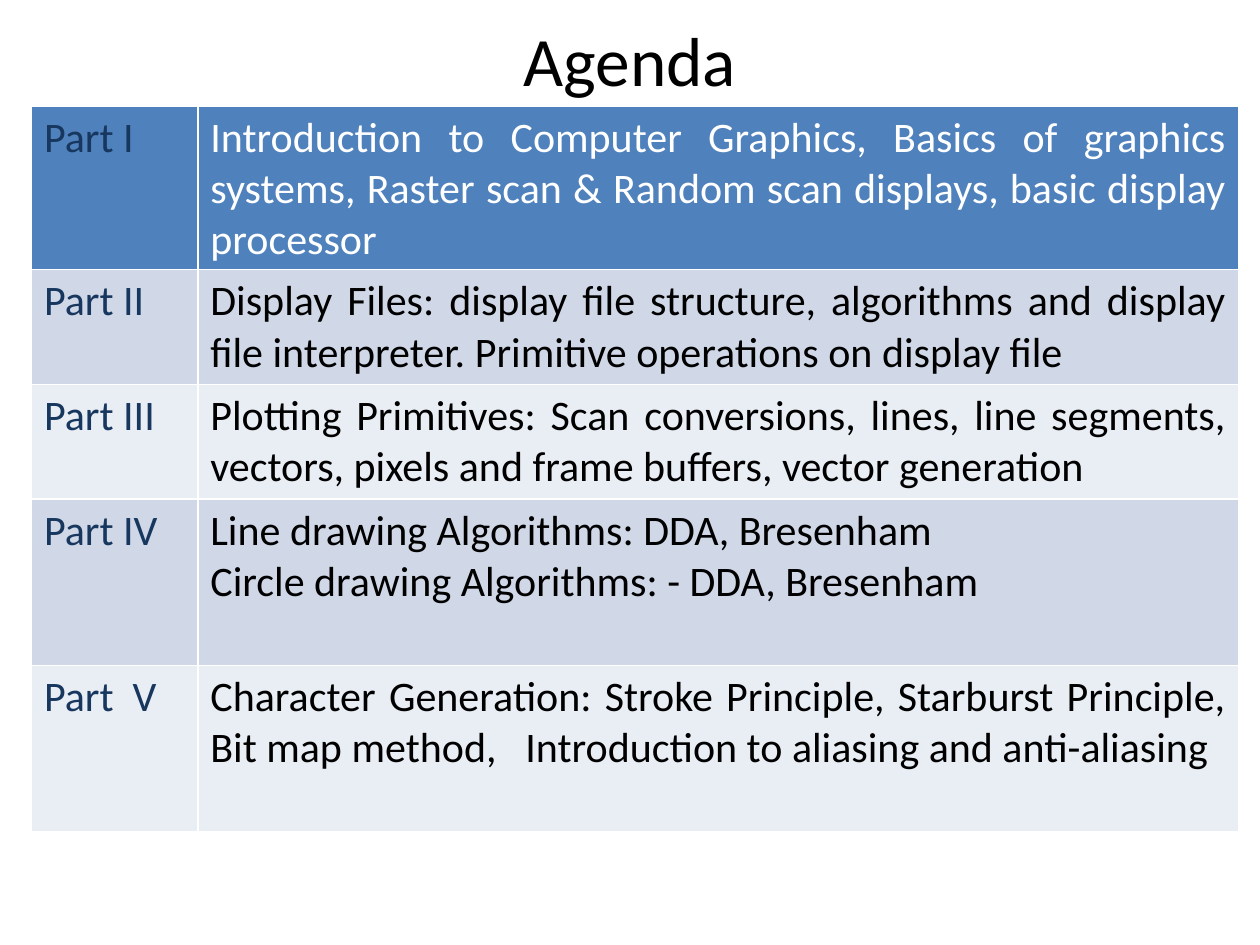
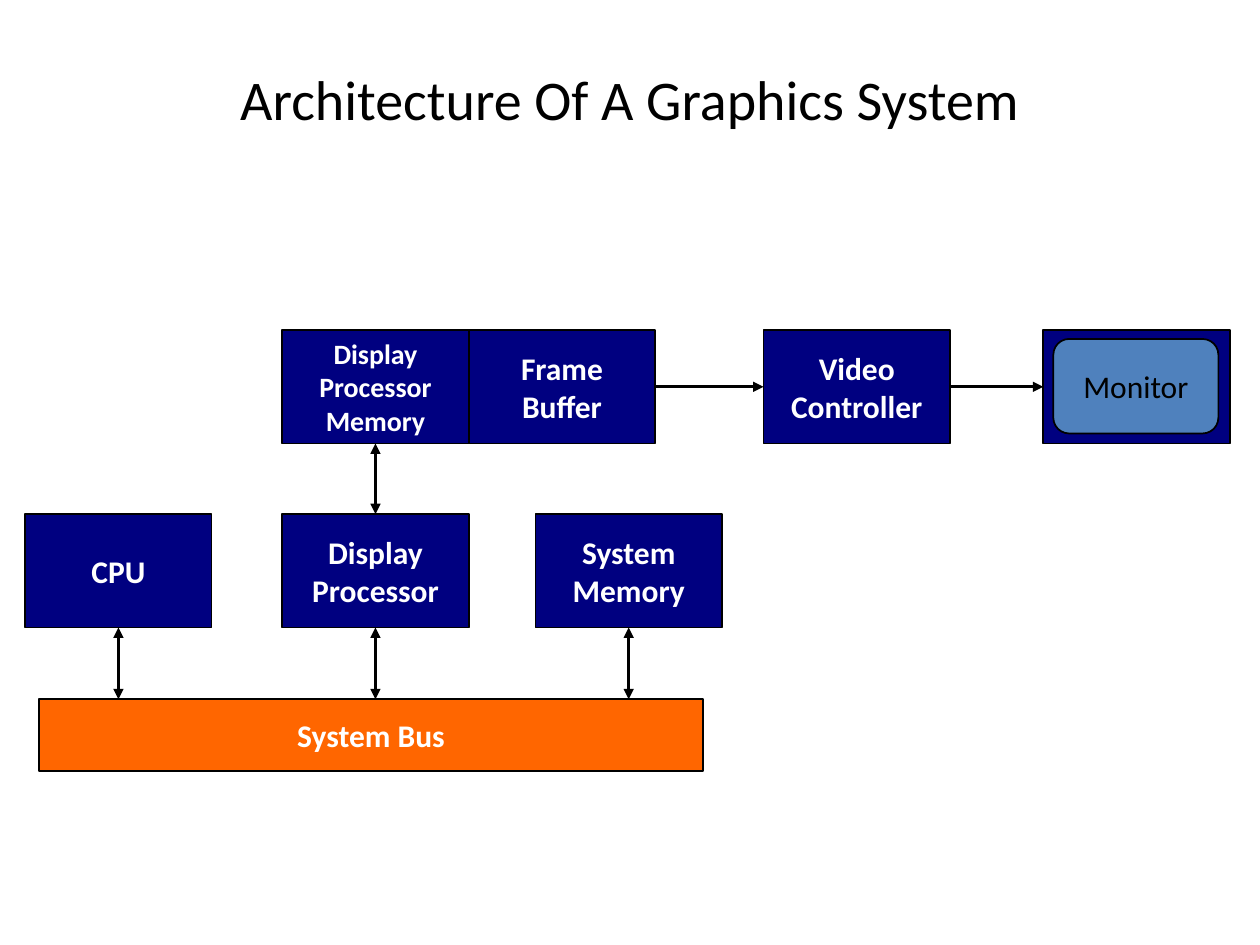
"""Build an agenda slide and a graphics system architecture slide."""
from dataclasses import dataclass
from typing import NamedTuple

from lxml import etree
from pptx import Presentation
from pptx import util as u
from pptx.dml.color import RGBColor
from pptx.enum import shapes, text
from pptx.oxml import ns

COLUMNS, ROWS = 100, 75
CELL = u.Inches(0.1)


@dataclass(frozen=True)
class Theme:
    """Colours, font and point sizes shared by the slides."""

    font: str = "Calibri"
    ink: RGBColor = RGBColor(0x00, 0x00, 0x00)
    paper: RGBColor = RGBColor(0xFF, 0xFF, 0xFF)
    label: RGBColor = RGBColor(0x17, 0x37, 0x5E)
    accent: RGBColor = RGBColor(0x4F, 0x81, 0xBD)
    band_dark: RGBColor = RGBColor(0xD0, 0xD8, 0xE8)
    band_light: RGBColor = RGBColor(0xE9, 0xED, 0xF4)
    navy: RGBColor = RGBColor(0x00, 0x00, 0x80)
    orange: RGBColor = RGBColor(0xFF, 0x66, 0x00)
    agenda_title: float = 39.6
    diagram_title: float = 32
    table_text: float = 24
    box_text: float = 18
    small_box_text: float = 16
    outline: float = 1
    arrow: float = 1.5


THEME = Theme()


class Area(NamedTuple):
    """A rectangle in grid columns and rows."""

    column: float
    row: float
    width: float
    height: float

    def lengths(self) -> list[int]:
        """Return left, top, width and height as slide lengths."""
        return [grid(value) for value in self]


class Part(NamedTuple):
    """One agenda row: its label, its topics and its height in grid rows."""

    label: str
    topics: str
    height: float


@dataclass(frozen=True)
class Box:
    """A labelled block of the architecture diagram."""

    label: str
    area: Area
    fill: RGBColor = THEME.navy
    color: RGBColor = THEME.paper
    size: float = THEME.box_text
    bold: bool = True
    preset: shapes.MSO_SHAPE = shapes.MSO_SHAPE.RECTANGLE
    wrap: bool = True


class Link(NamedTuple):
    """An arrow that joins the sides of two boxes."""

    start: str
    start_side: int
    end: str
    end_side: int
    two_way: bool


TOP, BOTTOM, LEFT, RIGHT = 0, 2, 1, 3
BOX_WIDTH, BOX_HEIGHT = 14.8, 9
UPPER_ROW, LOWER_ROW = 26.2, 40.8
PROCESSOR_COLUMN = 22.4

PARTS = [
    Part("Part I", "Introduction to Computer Graphics, Basics of graphics systems, "
         "Raster scan & Random scan displays, basic display processor", 13),
    Part("Part II", "Display Files: display file structure, algorithms and display "
         "file interpreter. Primitive operations on display file", 9.1),
    Part("Part III", "Plotting Primitives: Scan conversions, lines, line segments, "
         "vectors, pixels and frame buffers, vector generation", 9.1),
    Part("Part IV", "Line drawing Algorithms: DDA, Bresenham\n"
         "Circle drawing Algorithms: - DDA, Bresenham", 13.2),
    Part("Part  V", "Character Generation: Stroke Principle, Starburst Principle, "
         "Bit map method,\tIntroduction to aliasing and anti-aliasing", 13.2),
]


def block(column: float, row: float) -> Area:
    """Return the area of a standard diagram block."""
    return Area(column, row, BOX_WIDTH, BOX_HEIGHT)


BUS = Box("System Bus", Area(3.1, 55.5, 52.7, 5.7), fill=THEME.orange)
BUS_USERS = [
    Box("CPU", block(2, LOWER_ROW)),
    Box("Display Processor", block(PROCESSOR_COLUMN, LOWER_ROW)),
    Box("System Memory", block(42.5, LOWER_ROW)),
]
DISPLAY_CHAIN = [
    Box("Display Processor Memory", block(PROCESSOR_COLUMN, UPPER_ROW),
        size=THEME.small_box_text),
    Box("Frame Buffer", block(PROCESSOR_COLUMN + BOX_WIDTH, UPPER_ROW)),
    Box("Video Controller", block(60.6, UPPER_ROW)),
]
CASING = Box("", block(82.8, UPPER_ROW))
SCREEN = Box("Monitor", Area(83.6, 26.9, 13.1, 7.5), fill=THEME.accent, color=THEME.ink,
             bold=False, preset=shapes.MSO_SHAPE.ROUNDED_RECTANGLE, wrap=False)
LINKS = [
    Link("Display Processor Memory", BOTTOM, "Display Processor", TOP, True),
    Link("Frame Buffer", RIGHT, "Video Controller", LEFT, False),
    Link("Video Controller", RIGHT, CASING.label, LEFT, False),
]


def grid(units: float) -> int:
    """Convert grid units to a slide length."""
    return round(units * CELL)


def write(frame, words: str, size: float, color: RGBColor, align, bold: bool = False) -> None:
    """Fill a text frame with evenly styled paragraphs."""
    frame.text = words
    for paragraph in frame.paragraphs:
        paragraph.alignment = align
        font = paragraph.font
        font.name, font.size, font.bold = THEME.font, u.Pt(size), bold
        font.color.rgb = color


def add_title(slide, words: str, area: Area, size: float) -> None:
    """Add a centred slide title."""
    frame = slide.shapes.add_textbox(*area.lengths()).text_frame
    frame.word_wrap = True
    frame.vertical_anchor = text.MSO_ANCHOR.MIDDLE
    write(frame, words, size, THEME.ink, text.PP_ALIGN.CENTER)


def add_agenda(slide, area: Area, label_width: float) -> None:
    """Add the table of agenda parts."""
    table = slide.shapes.add_table(len(PARTS), 2, *area.lengths()).table
    table.columns[0].width = grid(label_width)
    table.columns[1].width = grid(area.width - label_width)
    for index, part in enumerate(PARTS):
        table.rows[index].height = grid(part.height)
        band = THEME.band_dark if index % 2 else THEME.band_light
        fill = band if index else THEME.accent
        topic_color = THEME.ink if index else THEME.paper
        entries = ((part.label, THEME.label), (part.topics, topic_color))
        for cell, (words, color) in zip(table.rows[index].cells, entries):
            cell.fill.solid()
            cell.fill.fore_color.rgb = fill
            write(cell.text_frame, words, THEME.table_text, color, text.PP_ALIGN.JUSTIFY)


def add_box(slide, box: Box):
    """Add a diagram block and return its shape."""
    shape = slide.shapes.add_shape(box.preset, *box.area.lengths())
    shape.shadow.inherit = False
    shape.fill.solid()
    shape.fill.fore_color.rgb = box.fill
    shape.line.color.rgb = THEME.ink
    shape.line.width = u.Pt(THEME.outline)
    frame = shape.text_frame
    frame.word_wrap = box.wrap
    frame.vertical_anchor = text.MSO_ANCHOR.MIDDLE
    if box.label:
        write(frame, box.label, box.size, box.color, text.PP_ALIGN.CENTER, box.bold)
    return shape


def add_arrow(slide, end_x: int, end_y: int, two_way: bool):
    """Add an arrow to an end point; its start is joined by the caller."""
    connector = slide.shapes.add_connector(
        shapes.MSO_CONNECTOR.STRAIGHT, end_x, end_y, end_x, end_y)
    connector.line.color.rgb = THEME.ink
    connector.line.width = u.Pt(THEME.arrow)
    line = connector.line._get_or_add_ln()
    for tag in ("a:headEnd", "a:tailEnd") if two_way else ("a:tailEnd",):
        etree.SubElement(line, ns.qn(tag), type="triangle")
    etree.SubElement(connector._element.spPr, ns.qn("a:effectLst"))
    return connector


def build_agenda(slide) -> None:
    """Compose the agenda slide."""
    add_title(slide, "Agenda", Area(5, 0.8, 90, 7.8), THEME.agenda_title)
    height = sum(part.height for part in PARTS)
    add_agenda(slide, Area(2.5, 8.4, 95.8, height), 13.2)


def build_architecture(slide) -> None:
    """Compose the architecture diagram slide."""
    add_title(slide, "Architecture Of A Graphics System", Area(5, 3, 90, 9.5),
              THEME.diagram_title)
    boxes = [BUS, *BUS_USERS, *DISPLAY_CHAIN, CASING, SCREEN]
    placed = {box.label: add_box(slide, box) for box in boxes}
    for user in BUS_USERS:
        center = grid(user.area.column + user.area.width / 2)
        arrow = add_arrow(slide, center, grid(BUS.area.row), True)
        arrow.begin_connect(placed[user.label], BOTTOM)
    for link in LINKS:
        arrow = add_arrow(slide, 0, 0, link.two_way)
        arrow.begin_connect(placed[link.start], link.start_side)
        arrow.end_connect(placed[link.end], link.end_side)


def main() -> None:
    """Build and save the presentation."""
    presentation = Presentation()
    presentation.slide_width = grid(COLUMNS)
    presentation.slide_height = grid(ROWS)
    for build in (build_agenda, build_architecture):
        build(presentation.slides.add_slide(presentation.slide_layouts[6]))
    presentation.save("out.pptx")


if __name__ == "__main__":
    main()
